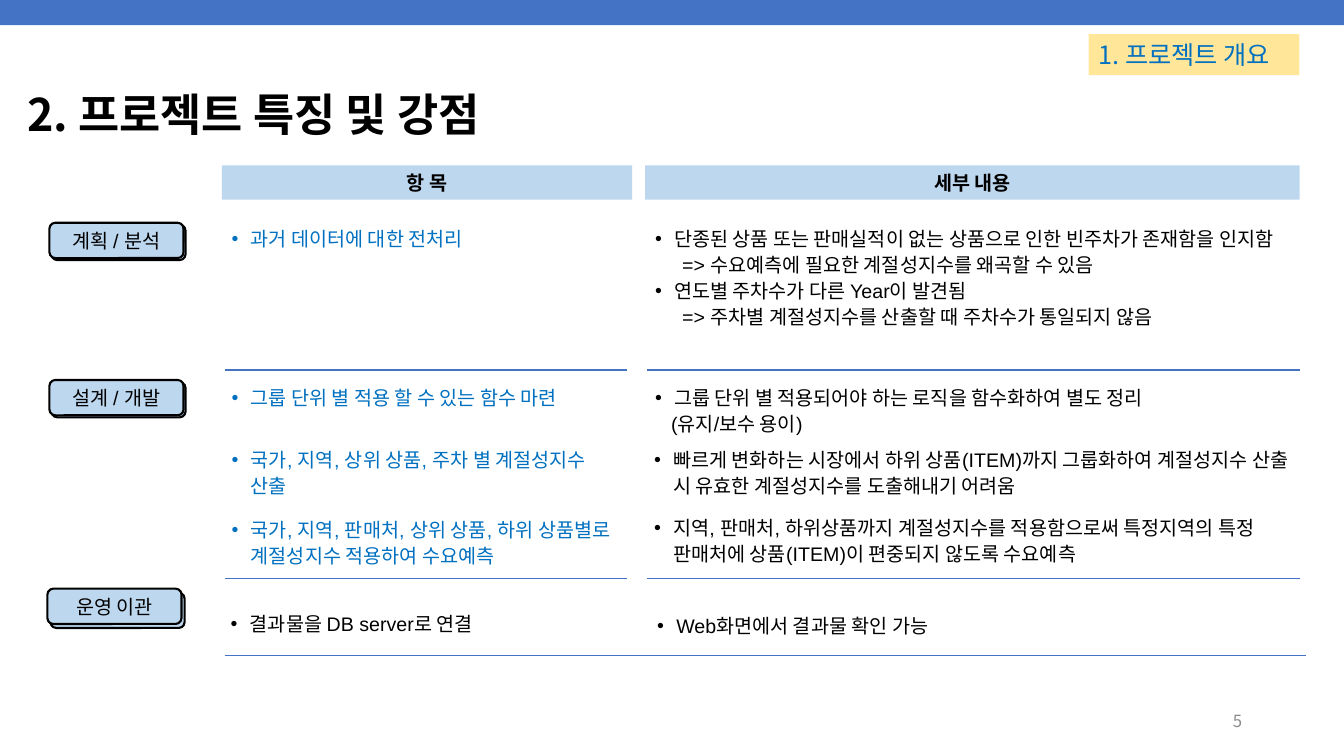
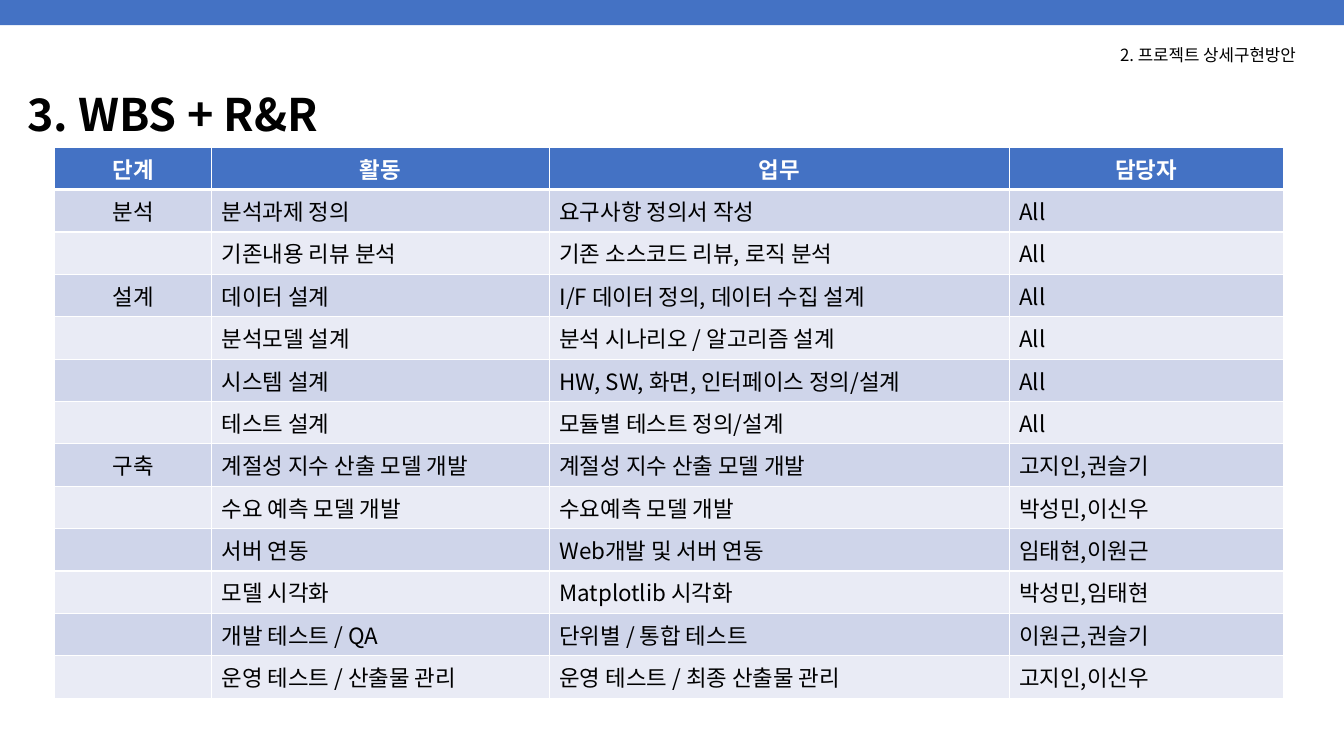
from dataclasses import dataclass

from lxml import etree
from pptx import Presentation
from pptx import util as u
from pptx.dml.color import RGBColor
from pptx.enum import shapes, text
from pptx.oxml import ns
from pptx.slide import Slide

WIDTH, HEIGHT = u.Inches(13.333), u.Inches(7.5)
BLUE = RGBColor(0x44, 0x72, 0xC4)
SKY = RGBColor(0xBD, 0xD7, 0xEE)
ACCENT = RGBColor(0x00, 0x70, 0xC0)
CREAM = RGBColor(0xFF, 0xE6, 0x99)
GRAY = RGBColor(0x8C, 0x8C, 0x8C)
BLACK = RGBColor(0, 0, 0)
WHITE = RGBColor(0xFF, 0xFF, 0xFF)
STRIPES = (RGBColor(0xCF, 0xD5, 0xEA), RGBColor(0xE9, 0xEB, 0xF5))
SANS, ARIAL = "Noto Sans CJK KR", "Arial"
HANGING = 0.19

LEFT, CENTER, RIGHT = text.PP_ALIGN.LEFT, text.PP_ALIGN.CENTER, text.PP_ALIGN.RIGHT
TOP, MIDDLE = text.MSO_ANCHOR.TOP, text.MSO_ANCHOR.MIDDLE
RECT = shapes.MSO_SHAPE.RECTANGLE
ROUNDED = shapes.MSO_SHAPE.ROUNDED_RECTANGLE


@dataclass(frozen=True)
class Area:
    """Shares of the slide, in percent."""
    left: float
    top: float
    width: float
    height: float

    def lengths(self) -> tuple[int, int, int, int]:
        return (across(self.left), down(self.top), across(self.width), down(self.height))


@dataclass(frozen=True)
class Style:
    size: float
    color: RGBColor = BLACK
    font: str = SANS
    bold: bool = False
    align: text.PP_ALIGN = LEFT
    spacing: float = 1.0


@dataclass(frozen=True)
class Line:
    words: str
    bullet: bool = True
    indent: float = HANGING


@dataclass(frozen=True)
class Note:
    left: float
    top: float
    width: float
    lines: tuple[Line, ...]
    color: RGBColor = BLACK


@dataclass(frozen=True)
class Phase:
    name: str
    left: float
    top: float
    shift_x: float = 0.15
    shift_y: float = 0.27


@dataclass(frozen=True)
class Divider:
    start: float
    end: float
    top: float


TITLE = Style(32, bold=True, spacing=0.9)
HEADING = Style(14, font=ARIAL, bold=True, align=CENTER)
PHASE = Style(14, font=ARIAL, align=CENTER)

ITEM_LEFT, ITEM_WIDTH = 16.5, 30.53
DETAIL_LEFT, DETAIL_WIDTH = 48, 48.7
ROW_HEIGHT = 4.53

HEADINGS = (("항 목", ITEM_LEFT, ITEM_WIDTH), ("세부 내용", DETAIL_LEFT, DETAIL_WIDTH))
PHASES = (
    Phase("계획 / 분석", 3.68, 29.47),
    Phase("설계 / 개발", 3.68, 50.27),
    Phase("운영 이관", 3.53, 77.87, 0.23, 0.53),
)
DIVIDERS = tuple(
    Divider(start, end, top)
    for top in (48.93, 76.53)
    for start, end in ((16.73, 46.66), (48.16, 96.7))
) + (Divider(16.73, 97.15, 86.67),)
NOTES = (
    Note(ITEM_LEFT, 29.07, ITEM_WIDTH, (Line("과거 데이터에 대한 전처리"),), ACCENT),
    Note(DETAIL_LEFT, 29.07, 47.86, (
        Line("단종된 상품 또는 판매실적이 없는 상품으로 인한 빈주차가 존재함을 인지함"),
        Line("=> 수요예측에 필요한 계절성지수를 왜곡할 수 있음", False, 0.27),
        Line("연도별 주차수가 다른 Year이 발견됨"),
        Line("=> 주차별 계절성지수를 산출할 때 주차수가 통일되지 않음", False, 0.27),
    )),
    Note(ITEM_LEFT, 50.13, ITEM_WIDTH, (Line("그룹 단위 별 적용 할 수 있는 함수 마련"),), ACCENT),
    Note(DETAIL_LEFT, 50.13, DETAIL_WIDTH, (
        Line("그룹 단위 별 적용되어야 하는 로직을 함수화하여 별도 정리"),
        Line("(유지/보수 용이)", False, 0.16),
    )),
    Note(ITEM_LEFT, 58.27, ITEM_WIDTH, (
        Line("국가, 지역, 상위 상품, 주차 별 계절성지수 산출"),
    ), ACCENT),
    Note(47.93, 58.27, 49, (
        Line("빠르게 변화하는 시장에서 하위 상품(ITEM)까지 그룹화하여 계절성지수 "
             "산출 시 유효한 계절성지수를 도출해내기 어려움"),
    )),
    Note(ITEM_LEFT, 67.6, ITEM_WIDTH, (
        Line("국가, 지역, 판매처, 상위 상품, 하위 상품별로 계절성지수 적용하여 수요예측"),
    ), ACCENT),
    Note(47.93, 67.33, 49, (
        Line("지역, 판매처, 하위상품까지 계절성지수를 적용함으로써 특정지역의 특정 "
             "판매처에 상품(ITEM)이 편중되지 않도록 수요예측"),
    )),
    Note(16.43, 80, ITEM_WIDTH, (Line("결과물을 DB server로 연결"),)),
    Note(48.16, 80.27, 49, (Line("Web화면에서 결과물 확인 가능"),)),
)

WBS_COLUMNS = (11.7, 25.13, 34.21, 20.41)
WBS_ROWS = (
    ("단계", "활동", "업무", "담당자"),
    ("분석", "분석과제 정의", "요구사항 정의서 작성", "All"),
    ("", "기존내용 리뷰 분석", "기존 소스코드 리뷰, 로직 분석", "All"),
    ("설계", "데이터 설계", "I/F 데이터 정의, 데이터 수집 설계", "All"),
    ("", "분석모델 설계", "분석 시나리오 / 알고리즘 설계", "All"),
    ("", "시스템 설계", "HW, SW, 화면, 인터페이스 정의/설계", "All"),
    ("", "테스트 설계", "모듈별 테스트 정의/설계", "All"),
    ("구축", "계절성 지수 산출 모델 개발", "계절성 지수 산출 모델 개발", "고지인,권슬기"),
    ("", "수요 예측 모델 개발", "수요예측 모델 개발", "박성민,이신우"),
    ("", "서버 연동", "Web개발 및 서버 연동", "임태현,이원근"),
    ("", "모델 시각화", "Matplotlib 시각화", "박성민,임태현"),
    ("", "개발 테스트 / QA", "단위별 / 통합 테스트", "이원근,권슬기"),
    ("", "운영 테스트 / 산출물 관리", "운영 테스트 / 최종 산출물 관리", "고지인,이신우"),
)


def across(percent: float) -> int:
    return round(WIDTH * percent / 100)


def down(percent: float) -> int:
    return round(HEIGHT * percent / 100)


def add_words(paragraph, words: str, style: Style) -> None:
    paragraph.alignment = style.align
    paragraph.line_spacing = style.spacing
    run = paragraph.add_run()
    run.text = words
    run.font.size = u.Pt(style.size)
    run.font.bold = style.bold
    run.font.color.rgb = style.color
    run.font.name = style.font
    east_asian = etree.SubElement(run.font._element, ns.qn("a:ea"))
    east_asian.set("typeface", SANS)


def indent(paragraph, line: Line) -> None:
    properties = paragraph._p.get_or_add_pPr()
    properties.set("marL", str(u.Inches(line.indent)))
    properties.set("indent", str(-u.Inches(line.indent) if line.bullet else 0))
    if line.bullet:
        etree.SubElement(properties, ns.qn("a:buFont")).set("typeface", ARIAL)
        etree.SubElement(properties, ns.qn("a:buChar")).set("char", "•")


def add_label(slide: Slide, area: Area, words: str, style: Style,
              anchor: text.MSO_ANCHOR = TOP, wrap: bool = True):
    label = slide.shapes.add_textbox(*area.lengths())
    frame = label.text_frame
    frame.word_wrap = wrap
    frame.vertical_anchor = anchor
    add_words(frame.paragraphs[0], words, style)
    return label


def add_panel(slide: Slide, area: Area, fill: RGBColor,
              preset: shapes.MSO_SHAPE = RECT, outlined: bool = False):
    panel = slide.shapes.add_shape(preset, *area.lengths())
    panel.shadow.inherit = False
    panel.fill.solid()
    panel.fill.fore_color.rgb = fill
    if outlined:
        panel.line.color.rgb = BLACK
        panel.line.width = u.Pt(1.5)
    else:
        panel.line.fill.background()
    return panel


def add_note(slide: Slide, note: Note) -> None:
    area = Area(note.left, note.top, note.width, ROW_HEIGHT * len(note.lines))
    frame = slide.shapes.add_textbox(*area.lengths()).text_frame
    frame.word_wrap = True
    style = Style(14, note.color, ARIAL, spacing=1.1)
    for index, line in enumerate(note.lines):
        paragraph = frame.add_paragraph() if index else frame.paragraphs[0]
        indent(paragraph, line)
        add_words(paragraph, line.words, style)


def add_phase(slide: Slide, phase: Phase) -> None:
    for step in (1, 0):
        area = Area(phase.left + step * phase.shift_x,
                    phase.top + step * phase.shift_y, 9.98, 4.67)
        button = add_panel(slide, area, SKY, ROUNDED, outlined=True)
    button.text_frame.vertical_anchor = MIDDLE
    add_words(button.text_frame.paragraphs[0], phase.name, PHASE)


def add_divider(slide: Slide, divider: Divider) -> None:
    rule = slide.shapes.add_connector(
        shapes.MSO_CONNECTOR.STRAIGHT,
        across(divider.start), down(divider.top), across(divider.end), down(divider.top))
    rule.line.color.rgb = BLUE
    rule.line.width = u.Pt(1)
    etree.SubElement(rule._element.spPr, ns.qn("a:effectLst"))


def add_borders(cell, bottom: float) -> None:
    properties = cell._tc.get_or_add_tcPr()
    for side, points in (("L", 1), ("R", 1), ("T", 1), ("B", bottom)):
        edge = etree.SubElement(properties, ns.qn(f"a:ln{side}"), w=str(u.Pt(points)))
        fill = etree.SubElement(edge, ns.qn("a:solidFill"))
        etree.SubElement(fill, ns.qn("a:srgbClr"), val=str(WHITE))


def add_wbs(slide: Slide) -> None:
    area = Area(4.05, 19.47, sum(WBS_COLUMNS), 72.93)
    wbs = slide.shapes.add_table(len(WBS_ROWS), len(WBS_COLUMNS), *area.lengths()).table
    for column, share in zip(wbs.columns, WBS_COLUMNS):
        column.width = across(share)
    for row, entries in enumerate(WBS_ROWS):
        heading = row == 0
        for column, words in enumerate(entries):
            cell = wbs.cell(row, column)
            add_borders(cell, 3 if heading else 1)
            cell.fill.solid()
            cell.fill.fore_color.rgb = BLUE if heading else STRIPES[(row - 1) % 2]
            paragraph = cell.text_frame.paragraphs[0]
            if words:
                add_words(paragraph, words, Style(
                    16, WHITE if heading else BLACK, bold=heading,
                    align=CENTER if heading or column == 0 else LEFT))
            else:
                etree.SubElement(paragraph._p, ns.qn("a:endParaRPr"), sz="1600")


def add_page(deck, title: str) -> Slide:
    slide = deck.slides.add_slide(deck.slide_layouts[6])
    add_panel(slide, Area(0, 0, 100, 3.33), BLUE)
    add_label(slide, Area(1.28, 9.47, 97, 11.87), title, TITLE, MIDDLE)
    return slide


def build_strengths(deck) -> None:
    slide = add_page(deck, "2. 프로젝트 특징 및 강점")
    section = add_label(slide, Area(81, 4.53, 15.68, 5.4), "1. 프로젝트 개요",
                        Style(18, ACCENT), wrap=False)
    section.fill.solid()
    section.fill.fore_color.rgb = CREAM
    for words, left, width in HEADINGS:
        heading = add_panel(slide, Area(left, 21.87, width, ROW_HEIGHT), SKY)
        add_words(heading.text_frame.paragraphs[0], words, HEADING)
    for phase in PHASES:
        add_phase(slide, phase)
    for divider in DIVIDERS:
        add_divider(slide, divider)
    for note in NOTES:
        add_note(slide, note)
    add_label(slide, Area(70.67, 92.67, 22.5, 5.33), "5",
              Style(12, GRAY, align=RIGHT), MIDDLE)


def build_wbs(deck) -> None:
    slide = add_page(deck, "3. WBS + R&R")
    add_label(slide, Area(82.6, 5.33, 15.98, 4), "2. 프로젝트 상세구현방안",
              Style(12), wrap=False)
    add_wbs(slide)


def main() -> None:
    deck = Presentation()
    deck.slide_width, deck.slide_height = WIDTH, HEIGHT
    build_strengths(deck)
    build_wbs(deck)
    deck.save("out.pptx")


if __name__ == "__main__":
    main()
